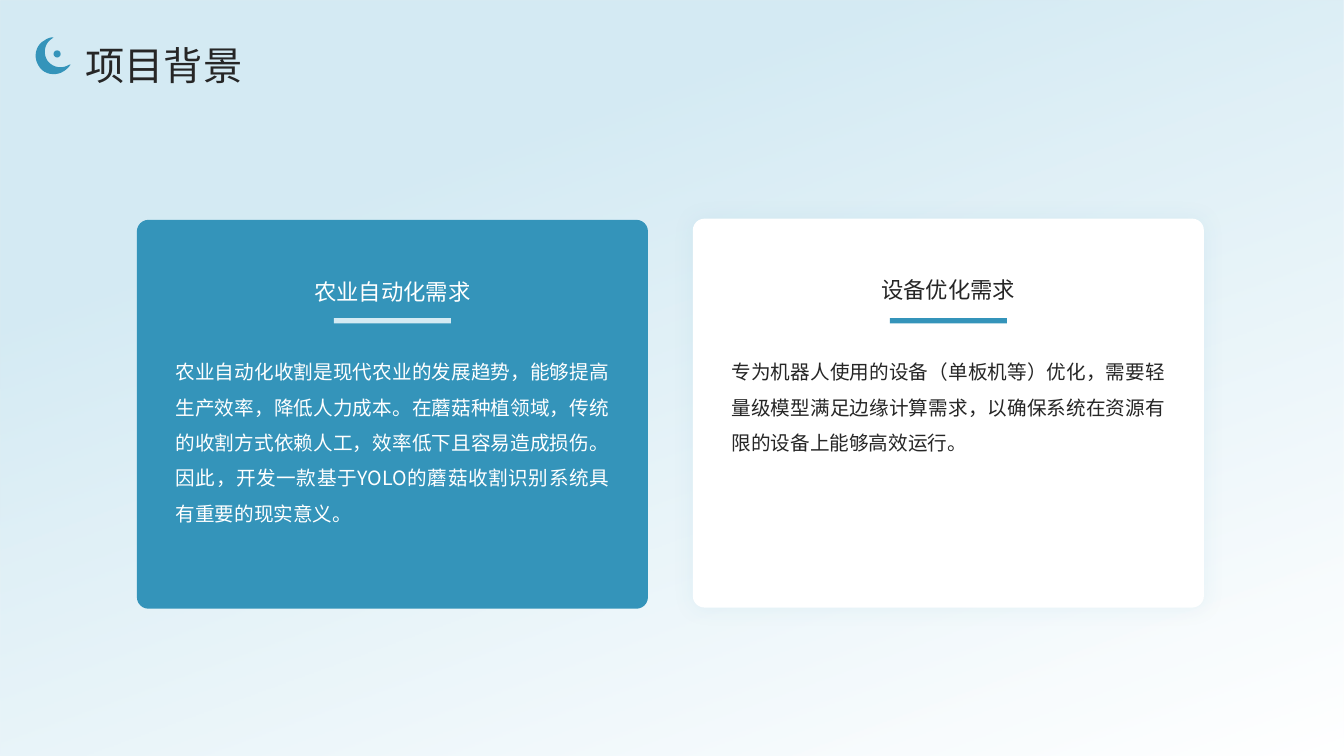
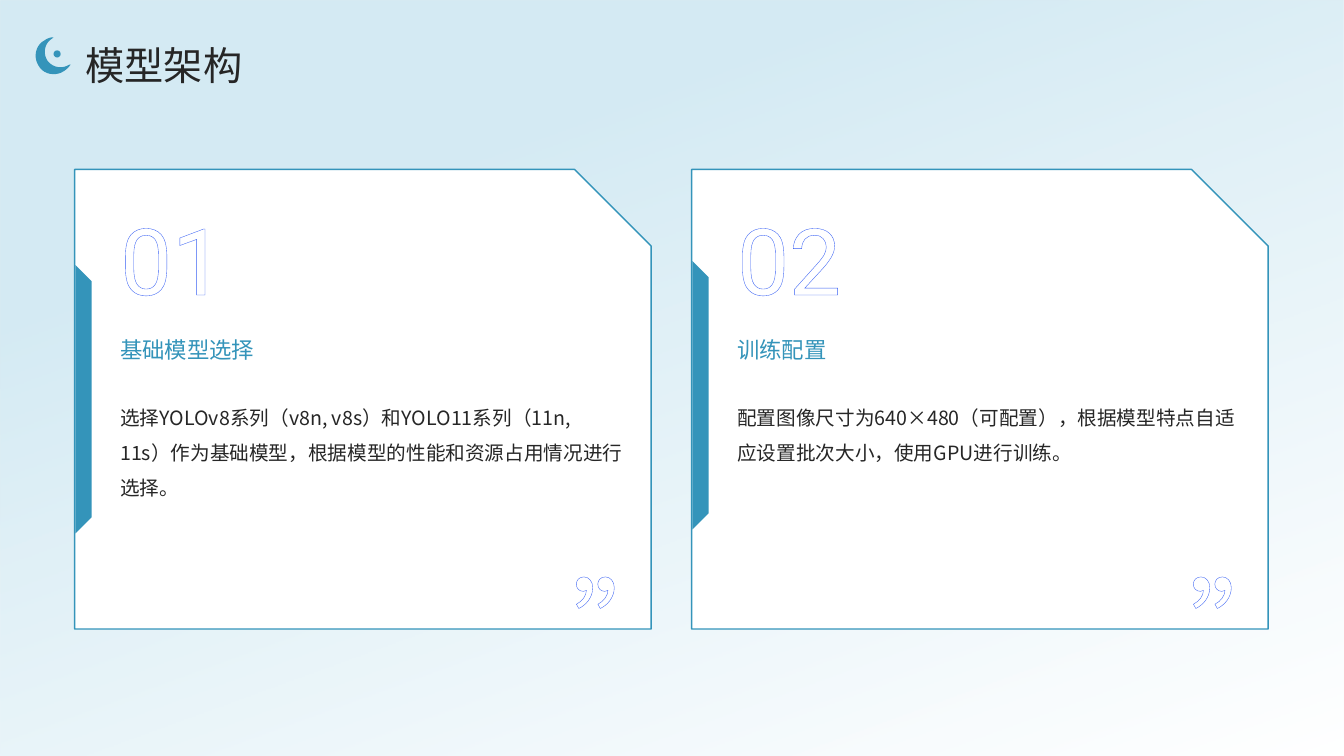
"""Build two slides on a mushroom-harvest recognition project: background and model architecture."""
from lxml import etree
from pptx import Presentation
from pptx.dml.color import RGBColor
from pptx.enum.shapes import MSO_SHAPE
from pptx.enum.text import MSO_ANCHOR, PP_ALIGN
from pptx.oxml.ns import qn
from pptx.util import Cm, Pt

RECT, ROUND, OVAL = MSO_SHAPE.RECTANGLE, MSO_SHAPE.ROUNDED_RECTANGLE, MSO_SHAPE.OVAL
SNIP, STRIPE = MSO_SHAPE.SNIP_1_RECTANGLE, MSO_SHAPE.DIAGONAL_STRIPE
TOP, MIDDLE, BOTTOM = MSO_ANCHOR.TOP, MSO_ANCHOR.MIDDLE, MSO_ANCHOR.BOTTOM
LEFT, CENTER, JUSTIFY = PP_ALIGN.LEFT, PP_ALIGN.CENTER, PP_ALIGN.JUSTIFY

COLORS = {"blue": "3494BA", "pale": "D4EAF3", "white": "FFFFFF", "ink": "262626", "outline": "3860F4"}
SANS, DIGITS = "Noto Sans CJK SC", "Roboto"
SLIDE_W, SLIDE_H = 33.87, 19.05

BACKGROUND_TITLE = "项目背景"
NEEDS = [
    {"heading": "农业自动化需求",
     "body": "农业自动化收割是现代农业的发展趋势，能够提高生产效率，降低人力成本。在蘑菇种植领域，"
             "传统的收割方式依赖人工，效率低下且容易造成损伤。因此，开发一款基于YOLO的蘑菇收割识别系统"
             "具有重要的现实意义。",
     "card": "blue", "text": "white", "bar": "pale", "top": 5.54, "heading_bottom": 7.8, "glow": False},
    {"heading": "设备优化需求",
     "body": "专为机器人使用的设备（单板机等）优化，需要轻量级模型满足边缘计算需求，"
             "以确保系统在资源有限的设备上能够高效运行。",
     "card": "white", "text": "ink", "bar": "blue", "top": 5.51, "heading_bottom": 7.75, "glow": True},
]

MODEL_TITLE = "模型架构"
STEPS = [
    {"number": "01", "heading": "基础模型选择", "stripe_top": 7.67,
     "body": "选择YOLOv8系列（v8n, v8s）和YOLO11系列（11n, 11s）作为基础模型，"
             "根据模型的性能和资源占用情况进行选择。"},
    {"number": "02", "heading": "训练配置", "stripe_top": 7.57,
     "body": "配置图像尺寸为640×480（可配置），根据模型特点自适应设置批次大小，使用GPU进行训练。"},
]

MOON_START = (1.32, 0.97)
MOON_CURVES = [
    ((1.32, 0.97), (1.35, 0.94), (1.35, 0.94)),
    ((1.27, 0.94), (1.19, 0.97), (1.12, 1.02)),
    ((0.89, 1.14), (0.84, 1.45), (0.97, 1.65)),
    ((1.09, 1.88), (1.4, 1.93), (1.6, 1.8)),
    ((1.68, 1.75), (1.73, 1.7), (1.78, 1.63)),
    ((1.75, 1.63), (1.75, 1.63), (1.75, 1.63)),
    ((1.55, 1.75), (1.32, 1.7), (1.19, 1.52)),
    ((1.07, 1.32), (1.14, 1.07), (1.32, 0.97)),
]
CURVE_STEPS = 10

STYLES = {
    "title": {"size": 28, "color": "ink"},
    "need_heading": {"size": 16, "align": CENTER, "anchor": BOTTOM, "inset": True},
    "need_body": {"size": 14, "align": JUSTIFY, "spacing": 1.5, "inset": True},
    "step_number": {"size": 66, "color": "white", "font": DIGITS, "anchor": MIDDLE, "outline": 1.25},
    "step_heading": {"size": 16, "color": "blue", "anchor": MIDDLE},
    "step_body": {"size": 14, "color": "ink", "spacing": 1.5},
    "quote": {"size": 80, "color": "white", "align": CENTER, "outline": 1},
}


def rgb(color):
    return RGBColor.from_string(COLORS[color])


def add_color(parent, color, alpha=None):
    node = etree.SubElement(parent, qn("a:srgbClr"), val=COLORS[color])
    if alpha is not None:
        etree.SubElement(node, qn("a:alpha"), val=str(alpha * 1000))


def paint(shape, fill, line=None):
    shape.shadow.inherit = False
    shape.fill.solid()
    shape.fill.fore_color.rgb = rgb(fill)
    if line:
        shape.line.color.rgb = rgb(line)
        shape.line.width = Pt(1)
    else:
        shape.line.fill.background()
    return shape


def add_block(slide, kind, box, fill, line=None):
    return paint(slide.shapes.add_shape(kind, *map(Cm, box)), fill, line)


def add_text(slide, text, box, style, color=None):
    look = STYLES[style]
    frame = slide.shapes.add_textbox(*map(Cm, box)).text_frame
    layout = {"word_wrap": True, "vertical_anchor": look.get("anchor", TOP)}
    if not look.get("inset"):
        layout.update(dict.fromkeys(("margin_left", "margin_top", "margin_right", "margin_bottom"), 0))
    paragraph = frame.paragraphs[0]
    run = paragraph.add_run()
    run.text = text
    name = look.get("font", SANS)
    formats = [
        (frame, layout),
        (paragraph, {"alignment": look.get("align", LEFT), "line_spacing": look.get("spacing", 1.3)}),
        (run.font, {"size": Pt(look["size"]), "name": name}),
    ]
    for target, values in formats:
        for key, value in values.items():
            setattr(target, key, value)
    run.font.color.rgb = rgb(color or look["color"])
    properties = run.font._element
    etree.SubElement(properties, qn("a:ea"), typeface=name)
    if "outline" in look:
        line = etree.Element(qn("a:ln"), w=str(Pt(look["outline"])))
        add_color(etree.SubElement(line, qn("a:solidFill")), "outline")
        properties.insert(0, line)


def add_glow(shape):
    effects = shape._element.spPr.find(qn("a:effectLst"))
    shadow = etree.SubElement(effects, qn("a:outerShdw"), blurRad=str(Pt(15)), dist="0", rotWithShape="0")
    add_color(shadow, "blue", 8)


def moon_points():
    start = MOON_START
    for first, second, end in MOON_CURVES:
        for step in range(1, CURVE_STEPS + 1):
            t = step / CURVE_STEPS
            weights = ((1 - t) ** 3, 3 * t * (1 - t) ** 2, 3 * t * t * (1 - t), t ** 3)
            corners = (start, first, second, end)
            yield tuple(Cm(sum(w * c[axis] for w, c in zip(weights, corners))) for axis in (0, 1))
        start = end


def add_backdrop(slide):
    backdrop = add_block(slide, RECT, (0, 0, SLIDE_W, SLIDE_H), "white")
    backdrop.fill.gradient()
    backdrop.fill.gradient_angle = 290
    for stop, color, position in zip(backdrop.fill.gradient_stops, ("pale", "white"), (0.26, 1)):
        stop.color.rgb = rgb(color)
        stop.position = position
    white = backdrop._element.spPr.findall(".//" + qn("a:srgbClr"))[-1]
    etree.SubElement(white, qn("a:alpha"), val="92000")


def add_title(slide, title):
    add_text(slide, title, (2.16, 0.69, 28.83, 1.5), "title")
    outline = slide.shapes.build_freeform(*map(Cm, MOON_START), scale=1.0)
    outline.add_line_segments(list(moon_points()), close=True)
    paint(outline.convert_to_shape(), "blue")
    add_block(slide, OVAL, (1.35, 1.27, 0.18, 0.18), "blue")


def add_needs(slide):
    width, height, text_w, bar_w, heading_h = 12.88, 9.8, 11.43, 2.95, 2.1
    for index, need in enumerate(NEEDS):
        left = 3.45 + index * 14.01
        text_left = left + (width - text_w) / 2
        card = add_block(slide, ROUND, (left, need["top"], width, height), need["card"])
        card.adjustments[0] = 0.03
        if need["glow"]:
            add_glow(card)
        heading_box = (text_left, need["heading_bottom"] - heading_h, text_w, heading_h)
        add_text(slide, need["body"], (text_left, 8.66, text_w, 5.79), "need_body", need["text"])
        add_text(slide, need["heading"], heading_box, "need_heading", need["text"])
        add_block(slide, RECT, (left + (width - bar_w) / 2, 8.02, bar_w, 0.13), need["bar"])


def add_steps(slide):
    for index, step in enumerate(STEPS):
        left = 1.88 + index * 15.55
        text_left = left + 1.15
        add_block(slide, SNIP, (left, 4.27, 14.53, 11.58), "white", "blue")
        stripe = add_block(slide, STRIPE, (left - 2.37, step["stripe_top"], 4.78, 4.78), "blue")
        stripe.adjustments[0] = 0.88
        stripe.rotation = 135
        add_text(slide, "”", (left + 12.54, 13.08, 1.83, 2.9), "quote")
        add_text(slide, step["number"], (text_left, 4.7, 3.53, 2.77), "step_number")
        add_text(slide, step["heading"], (text_left, 7.47, 12.67, 2.46), "step_heading")
        add_text(slide, step["body"], (text_left, 9.93, 12.67, 4.75), "step_body")


def main():
    deck = Presentation()
    deck.slide_width, deck.slide_height = Cm(SLIDE_W), Cm(SLIDE_H)
    for title, add_content in ((BACKGROUND_TITLE, add_needs), (MODEL_TITLE, add_steps)):
        slide = deck.slides.add_slide(deck.slide_layouts[6])
        add_backdrop(slide)
        add_content(slide)
        add_title(slide, title)
    deck.save("out.pptx")


if __name__ == "__main__":
    main()
